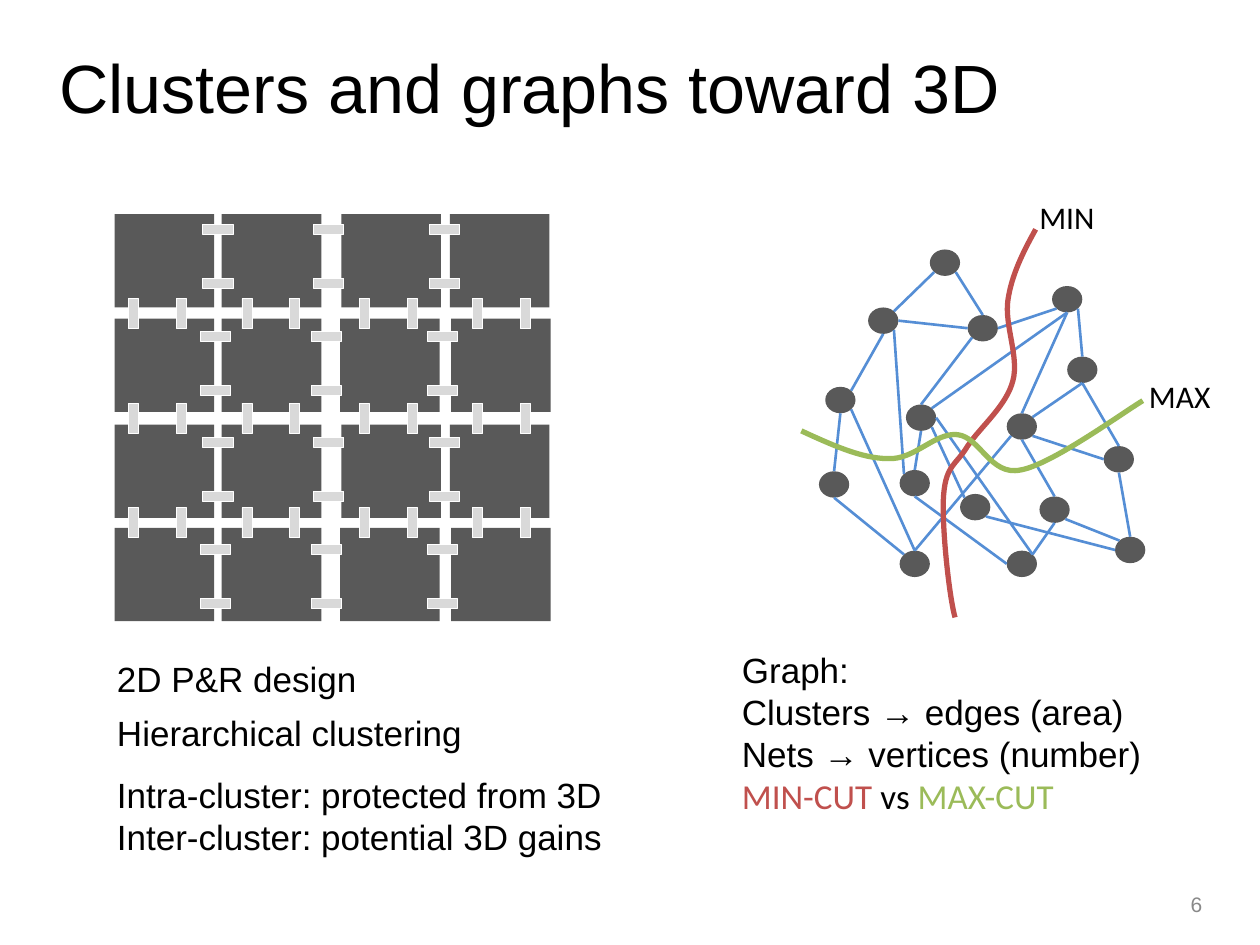
import pptx
import pptx.util
import pptx.dml.color
import pptx.enum.shapes
import pptx.enum.text
import pptx.oxml.ns
import lxml.etree

IN = pptx.util.Inches
SHAPE = pptx.enum.shapes.MSO_SHAPE
ALIGN = pptx.enum.text.PP_ALIGN
ANCHOR = pptx.enum.text.MSO_ANCHOR
QN = pptx.oxml.ns.qn
BLACK, DARK, CLIP, WHITE = "000000", "595959", "D9D9D9", "FFFFFF"
EDGE, MIN_CUT, MAX_CUT, MUTED = "558ED5", "C0504D", "9BBB59", "898989"

NODE_W, NODE_H = 0.24, 0.21
# Node corners, measured from the corner of the graph's box
NODES = {
    "A": (0.53, 0.62), "B": (1.32, 0.68), "C": (0.83, 1.39), "D": (1.63, 1.46),
    "E": (0.14, 1.92), "F": (1.26, 2.10), "G": (0.19, 1.25), "H": (2.11, 1.01),
    "I": (1.89, 2.12), "J": (0.78, 2.55), "K": (0.78, 1.91), "L": (1.99, 0.45),
    "M": (1.63, 2.55), "N": (1.02, 0.16), "O": (2.40, 1.72), "P": (2.49, 2.44),
}
# Each end is a node and the compass point where the net leaves it
NETS = """N.se-B.n B.e-L.sw N.sw-A.ne L.se-H.n L.s-D.n L.s-C.ne A.e-B.w A.s-G.ne
A.se-K.nw B.sw-C.n G.s-E.n C.se-F.nw K.n-C.s H.s-D.ne H.s-O.n O.w-D.se D.s-I.n
M.ne-C.e J.n-D.sw O.s-P.n I.se-P.nw M.ne-I.s J.nw-E.s J.n-G.se M.w-K.s P.w-F.se"""
# Cubic curves: a start, then two handles and an end for each segment
MIN_CURVE = [(1.86, 0), (1.76, 0.18), (1.67, 0.36), (1.64, 0.56),
             (1.61, 0.76), (1.73, 1.01), (1.68, 1.20), (1.63, 1.40), (1.42, 1.57),
             (1.32, 1.72), (1.23, 1.87), (1.15, 1.87), (1.13, 2.10),
             (1.11, 2.32), (1.17, 2.90), (1.22, 3.08)]
MAX_CURVE = [(0, 1.60), (0.24, 1.71), (0.48, 1.82), (0.69, 1.82),
             (0.90, 1.83), (1.06, 1.61), (1.24, 1.63), (1.42, 1.65), (1.50, 1.96),
             (1.74, 1.91), (1.98, 1.87), (2.53, 1.47), (2.71, 1.36)]


def rgb(color):
    """Turn a hex string into a colour."""
    return pptx.dml.color.RGBColor.from_string(color)


def add_block(s, kind, x, y, w, h, fill, line=None):
    """Add a filled shape, outlined only if a line colour is given."""
    sp = s.shapes.add_shape(kind, IN(x), IN(y), IN(w), IN(h))
    sp.shadow.inherit = False
    sp.fill.solid()
    sp.fill.fore_color.rgb = rgb(fill)
    if line:
        sp.line.color.rgb = rgb(line)
        sp.line.width = pptx.util.Pt(0.5)
    else:
        sp.line.fill.background()
    return sp


def add_text(s, x, y, w, h, lines, size=20, font="Arial", color=BLACK):
    """Add a text box with one paragraph per line and return its frame."""
    tf = s.shapes.add_textbox(IN(x), IN(y), IN(w), IN(h)).text_frame
    tf.word_wrap = True
    for i, line in enumerate(lines):
        p = tf.add_paragraph() if i else tf.paragraphs[0]
        p.text = line
        p.font.size = pptx.util.Pt(size)
        p.font.name = font
        p.font.color.rgb = rgb(color)
    return tf


def add_title(s, text):
    """Place and format the title placeholder."""
    sp = s.shapes.title
    sp.left, sp.top, sp.width, sp.height = IN(0.37), IN(0.3), IN(8.51), IN(0.77)
    tf = sp.text_frame
    tf.text = text
    tf.auto_size = pptx.enum.text.MSO_AUTO_SIZE.NONE
    tf.vertical_anchor = ANCHOR.MIDDLE
    p = tf.paragraphs[0]
    p.alignment = ALIGN.LEFT
    p.font.size = pptx.util.Pt(39)
    p.font.name = "Arial"
    p.font.color.rgb = rgb(BLACK)


def add_floorplan(s, x, y):
    """Draw the 4 by 4 tiles and the clips that bridge their gaps."""
    tile_w, tile_h, clip_w, clip_h = 0.79, 0.74, 0.24, 0.08
    even_cols, odd_cols = (0, 0.85, 1.8, 2.66), (0, 0.85, 1.79, 2.67)
    for i, dy in enumerate((0, 0.83, 1.67, 2.49)):
        for dx in odd_cols if i % 2 else even_cols:
            add_block(s, SHAPE.RECTANGLE, x + dx, y + dy, tile_w, tile_h, DARK)
    for dy, shift in ((0.08, 0), (0.93, -0.02), (1.77, 0), (2.62, -0.02)):
        for dx in (0.7, 1.58, 2.5):
            for drop in (0, 0.43):
                add_block(s, SHAPE.RECTANGLE, x + dx + shift, y + dy + drop,
                          clip_w, clip_h, CLIP, WHITE)
    for dy in (0.75, 1.58, 2.41):
        for dx in (0.03, 0.93, 1.86, 2.76):
            for step in (0, 0.38):
                sp = add_block(s, SHAPE.RECTANGLE, x + dx + step, y + dy,
                               clip_w, clip_h, CLIP, WHITE)
                sp.rotation = 90


def site(end):
    """Return the point on a node's outline named like 'A.se'."""
    name, compass = end.split(".")
    left, top = NODES[name]
    reach = 0.71 if len(compass) == 2 else 1
    dx = ("e" in compass) - ("w" in compass)
    dy = ("s" in compass) - ("n" in compass)
    return (left + NODE_W / 2 * (1 + reach * dx),
            top + NODE_H / 2 * (1 + reach * dy))


def add_curve(s, x, y, points, color):
    """Draw a chain of cubic segments as one open outline."""
    dots = [(IN(x + dx), IN(y + dy)) for dx, dy in points]
    builder = s.shapes.build_freeform(*dots[0])
    builder.add_line_segments(dots[3::3], close=False)
    sp = builder.convert_to_shape()
    sp.shadow.inherit = False
    sp.fill.background()
    sp.line.color.rgb = rgb(color)
    sp.line.width = pptx.util.Pt(3)
    for i, segment in enumerate(list(sp._element.iter(QN("a:lnTo")))):
        curve = lxml.etree.Element(QN("a:cubicBezTo"))
        for px, py in dots[3 * i + 1:3 * i + 4]:
            lxml.etree.SubElement(curve, QN("a:pt"), x=str(px - sp.left),
                                  y=str(py - sp.top))
        segment.getparent().replace(segment, curve)


def add_graph(s, x, y):
    """Draw the nodes, their nets, both cuts and the cut labels."""
    for dx, dy in NODES.values():
        add_block(s, SHAPE.OVAL, x + dx, y + dy, NODE_W, NODE_H, DARK)
    for net in NETS.split():
        (x1, y1), (x2, y2) = map(site, net.split("-"))
        c = s.shapes.add_connector(pptx.enum.shapes.MSO_CONNECTOR.STRAIGHT,
                                   IN(x + x1), IN(y + y1), IN(x + x2), IN(y + y2))
        c.line.color.rgb = rgb(EDGE)
        c.line.width = pptx.util.Pt(1.5)
        lxml.etree.SubElement(c._element.spPr, QN("a:effectLst"))
    add_curve(s, x, y, MIN_CURVE, MIN_CUT)
    add_curve(s, x, y, MAX_CURVE, MAX_CUT)
    for label, dx, dy in (("MIN", 1.79, -0.3), ("MAX", 2.66, 1.12)):
        add_text(s, x + dx, y + dy, 0.77, 0.4, [label], 18, "Calibri")


def add_graph_notes(s, x, y):
    """Write the graph's legend, ending with the two coloured cuts."""
    tf = add_text(s, x, y, 3.77, 1.45, ["Graph:", "Clusters → edges (area)",
                                        "Nets → vertices (number)", ""])
    p = tf.paragraphs[-1]
    p.font.name = "Calibri"
    for text, color in (("MIN-CUT ", MIN_CUT), ("vs ", BLACK), ("MAX-CUT", MAX_CUT)):
        r = p.add_run()
        r.text = text
        r.font.color.rgb = rgb(color)


def add_design_notes(s, x, y):
    """Write the three notes under the floorplan."""
    add_text(s, x, y + 0.92, 4.17, 0.77, ["Intra-cluster: protected from 3D",
                                          "Inter-cluster: potential 3D gains"])
    add_text(s, x, y + 0.43, 3.62, 0.44, ["Hierarchical clustering"])
    add_text(s, x, y, 3.46, 0.44, ["2D P&R design"])


def add_page_number(s, x, y, number):
    """Write the page number, right-aligned in its box."""
    tf = add_text(s, x, y, 2.33, 0.27, [number], 12, color=MUTED)
    tf.vertical_anchor = ANCHOR.MIDDLE
    tf.paragraphs[0].alignment = ALIGN.RIGHT


prs = pptx.Presentation()
prs.slide_width, prs.slide_height = IN(10), IN(7.5)
s = prs.slides.add_slide(prs.slide_layouts[5])
add_title(s, "Clusters and graphs toward 3D")
add_page_number(s, 7.31, 7.04, "6")
add_floorplan(s, 0.91, 1.7)
add_graph(s, 6.36, 1.82)
add_graph_notes(s, 5.79, 5.1)
add_design_notes(s, 0.83, 5.17)
prs.save("out.pptx")
